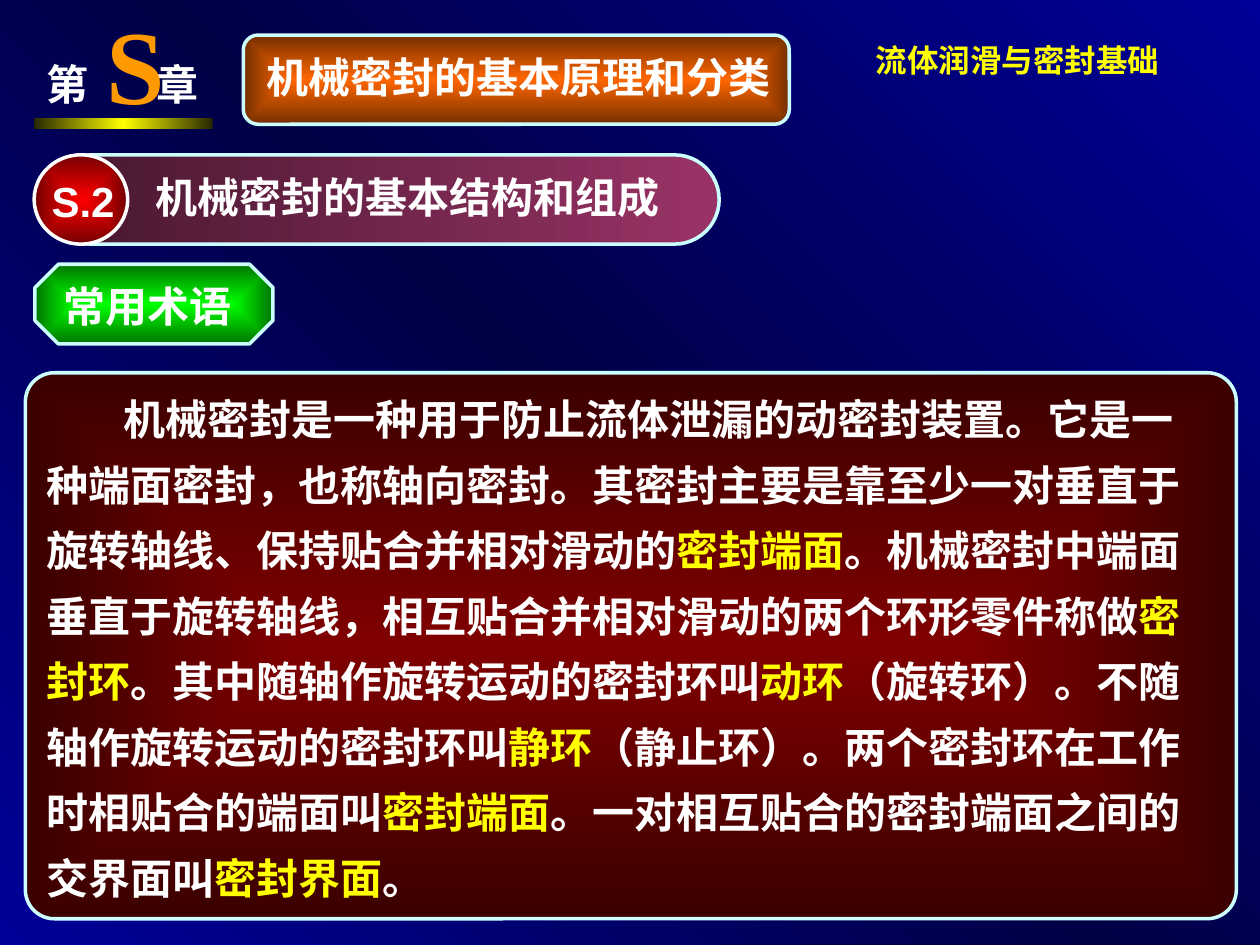
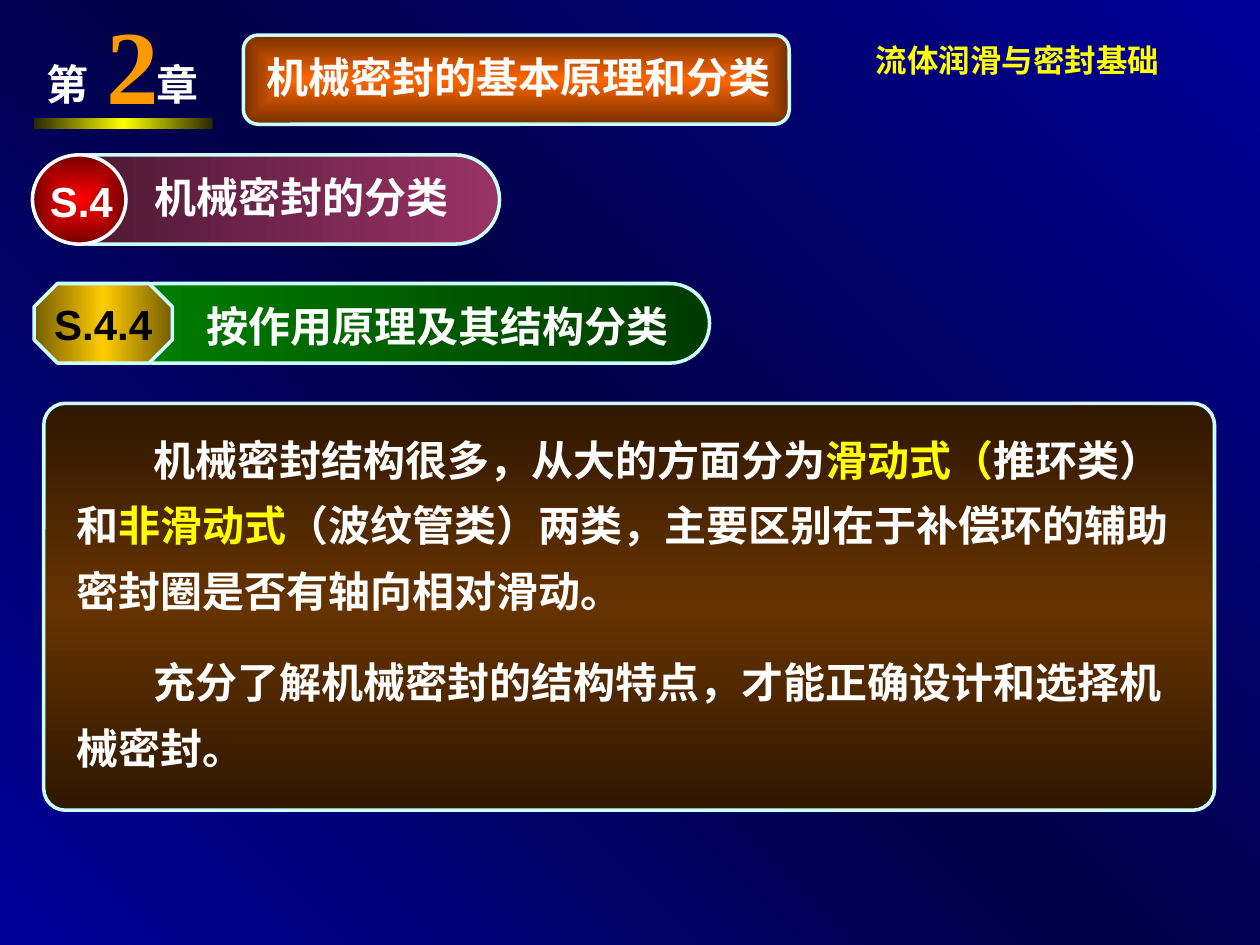
from pptx import Presentation
from pptx.util import Pt
from pptx.dml.color import RGBColor
from pptx.enum.shapes import MSO_SHAPE as SHAPE
from pptx.enum.text import MSO_ANCHOR as ANCHOR, MSO_AUTO_SIZE as AUTO, PP_ALIGN as ALIGN
from pptx.oxml import parse_xml
from pptx.oxml.ns import nsdecls, qn

WHITE, YELLOW, ORANGE, PALE = "FFFFFF", "FFFF00", "FF9900", "CCFFFF"
NAVY = ["000099", "000046", "000099"]
GOLD_BAR = ["282800", "FFFF00", "282800"]
GOLD = ["755E00", "FFCC00", "755E00"]
PLUM = ["993366", "46172F"]
RED = ["FF0000", "750000"]
RUST = ["FF6600", "752F00"]
LIME = ["00FF00", "007500"]
GREEN = ["003B00", "008000"]
MAROON = ["800000", "3B0000"]
BROWN = ["2F1700", "663300", "2F1700"]
CENTRE = None
rgb = RGBColor.from_string


def paint(fill, root, colours, angle):
    fill.gradient()
    step = 100000 // (len(colours) - 1)
    stops = "".join(f'<a:gs pos="{i * step}"><a:srgbClr val="{c}"/></a:gs>'
                    for i, c in enumerate(colours))
    if angle is CENTRE:
        way = '<a:path path="rect"><a:fillToRect l="50000" t="50000" r="50000" b="50000"/></a:path>'
    else:
        way = f'<a:lin ang="{angle * 60000}" scaled="0"/>'
    old = next(root.iter(qn("a:gradFill")))
    old.getparent().replace(old, parse_xml(
        f'<a:gradFill {nsdecls("a")} rotWithShape="1"><a:gsLst>{stops}</a:gsLst>{way}</a:gradFill>'))


def write(sp, paras, align=ALIGN.CENTER, wrap=False, anchor=ANCHOR.TOP, top=3.6,
          spacing=None, indent=0, tab=None, colour=WHITE, **font):
    tf = sp.text_frame
    frame = {"auto_size": AUTO.NONE, "word_wrap": wrap, "vertical_anchor": anchor,
             "margin_left": Pt(7.2), "margin_right": Pt(7.2),
             "margin_top": Pt(top), "margin_bottom": Pt(top)}
    for name, value in frame.items():
        setattr(tf, name, value)
    for i, text in enumerate(paras):
        p = tf.add_paragraph() if i else tf.paragraphs[0]
        p.alignment = align
        if indent:
            p._p.get_or_add_pPr().set("indent", str(Pt(indent)))
        if tab:
            p._p.get_or_add_pPr().append(parse_xml(
                f'<a:tabLst {nsdecls("a")}><a:tab pos="{Pt(tab)}" algn="l"/></a:tabLst>'))
        if spacing:
            p.line_spacing = Pt(spacing)
        if i:
            p.space_before = Pt(15)
        for j, part in enumerate(text.split("|")):
            r = p.add_run()
            r.text = part
            for name, value in {"name": "Arial", "size": Pt(24), "bold": True, **font}.items():
                setattr(r.font, name, value)
            r.font.color.rgb = rgb(YELLOW if j % 2 else colour)


LEFT = {"align": ALIGN.LEFT, "wrap": True}
BODY = {**LEFT, "spacing": 37.4, "indent": 44}
TIMES = {**LEFT, "name": "Times New Roman"}

header_shapes = [
    (SHAPE.RECTANGLE, (19.5, 67.7, 102, 5.8), None, GOLD_BAR, 180, None),
    (SHAPE.ROUNDED_RECTANGLE, (139, 20, 312, 51), 0.167, RUST, CENTRE, PALE),
]
header_texts = [
    (["流体润滑与密封基础"], (468, 20, 227, 51),
     {"name": "Noto Sans CJK SC", "size": Pt(18), "colour": YELLOW}),
    (["第\t章"], (19.5, 30, 126, 36), {**TIMES, "tab": 63}),
]

slides = [
    {
        "chapter": "S", "number": "S.2", "section": "机械密封的基本结构和组成",
        "left": 19.5, "width": 384.5,
        "shapes": [
            (SHAPE.OCTAGON, (20, 151, 136, 45.5), 0.293, LIME, CENTRE, PALE),
            (SHAPE.ROUNDED_RECTANGLE, (14.5, 213, 692, 312), 0.053, MAROON, CENTRE, PALE),
        ],
        "texts": [
            (["常用术语"], (25, 157, 119, 36), {}),
            (["机械密封是一种用于防止流体泄漏的动密封装置。它是一种端面密封，也称轴向密封。"
              "其密封主要是靠至少一对垂直于旋转轴线、保持贴合并相对滑动的|密封端面|。"
              "机械密封中端面垂直于旋转轴线，相互贴合并相对滑动的两个环形零件称做|密封环|。"
              "其中随轴作旋转运动的密封环叫|动环|（旋转环）。不随轴作旋转运动的密封环叫|静环|"
              "（静止环）。两个密封环在工作时相贴合的端面叫|密封端面|。"
              "一对相互贴合的密封端面之间的交界面叫|密封界面|。"],
             (19.5, 213, 680.5, 306.5), BODY),
        ],
    },
    {
        "chapter": "2", "number": "S.4", "section": "机械密封的分类",
        "left": 18.5, "width": 260,
        "shapes": [
            (SHAPE.ROUNDED_RECTANGLE, (25, 230.5, 669, 232.5), 0.053, BROWN, 90, PALE),
            (SHAPE.ROUNDED_RECTANGLE, (65, 162, 340.5, 45.5), 0.5, GREEN, 180, PALE),
            (SHAPE.OCTAGON, (19.5, 162, 79, 45.5), 0.293, GOLD, 180, PALE, "S.4.4"),
        ],
        "texts": [
            (["按作用原理及其结构分类"], (111, 168, 278, 36), {}),
            (["机械密封结构很多，从大的方面分为|滑动式（|推环类）和|非滑动式|（波纹管类）两类，"
              "主要区别在于补偿环的辅助密封圈是否有轴向相对滑动。",
              "充分了解机械密封的结构特点，才能正确设计和选择机械密封。"],
             (36.5, 236, 652.5, 209.5), BODY),
        ],
    },
]

prs = Presentation()
prs.slide_width, prs.slide_height = Pt(720), Pt(540)
master = prs.slide_master
paint(master.background.fill, master._element, NAVY, 135)

for page in slides:
    s = prs.slides.add_slide(prs.slide_layouts[5])
    left = page["left"]
    section_shapes = [
        (SHAPE.ROUNDED_RECTANGLE, (left + 7, 88.5, page["width"], 51), 0.5, PLUM, 180, PALE),
        (SHAPE.OVAL, (left, 88.5, 53.5, 51), None, RED, CENTRE, WHITE),
    ]
    section_texts = [
        ([page["chapter"]], (54, 0, 66, 72),
         {**TIMES, "size": Pt(60), "colour": ORANGE, "top": 0}),
        ([page["number"]], (left + 2.5, 97, 51, 36), {}),
        ([page["section"]], (left + 62.5, 94.5, page["width"] - 61, 36), LEFT),
    ]

    for kind, box, adj, colours, angle, line, *label in header_shapes + section_shapes + page["shapes"]:
        sp = s.shapes.add_shape(kind, *map(Pt, box))
        sp.shadow.inherit = False
        if adj:
            sp.adjustments[0] = adj
        paint(sp.fill, sp._element, colours, angle)
        if line:
            sp.line.color.rgb = rgb(line)
            sp.line.width = Pt(2)
        else:
            sp.line.fill.background()
        if label:
            write(sp, label, anchor=ANCHOR.MIDDLE, colour="000000")

    title = s.shapes.title
    title.left, title.top, title.width, title.height = map(Pt, (145, 26, 302.5, 36))
    write(title, ["机械密封的基本原理和分类"])
    sp._element.addnext(title._element)

    for paras, box, style in header_texts + section_texts + page["texts"]:
        write(s.shapes.add_textbox(*map(Pt, box)), paras, **style)

prs.save("out.pptx")
